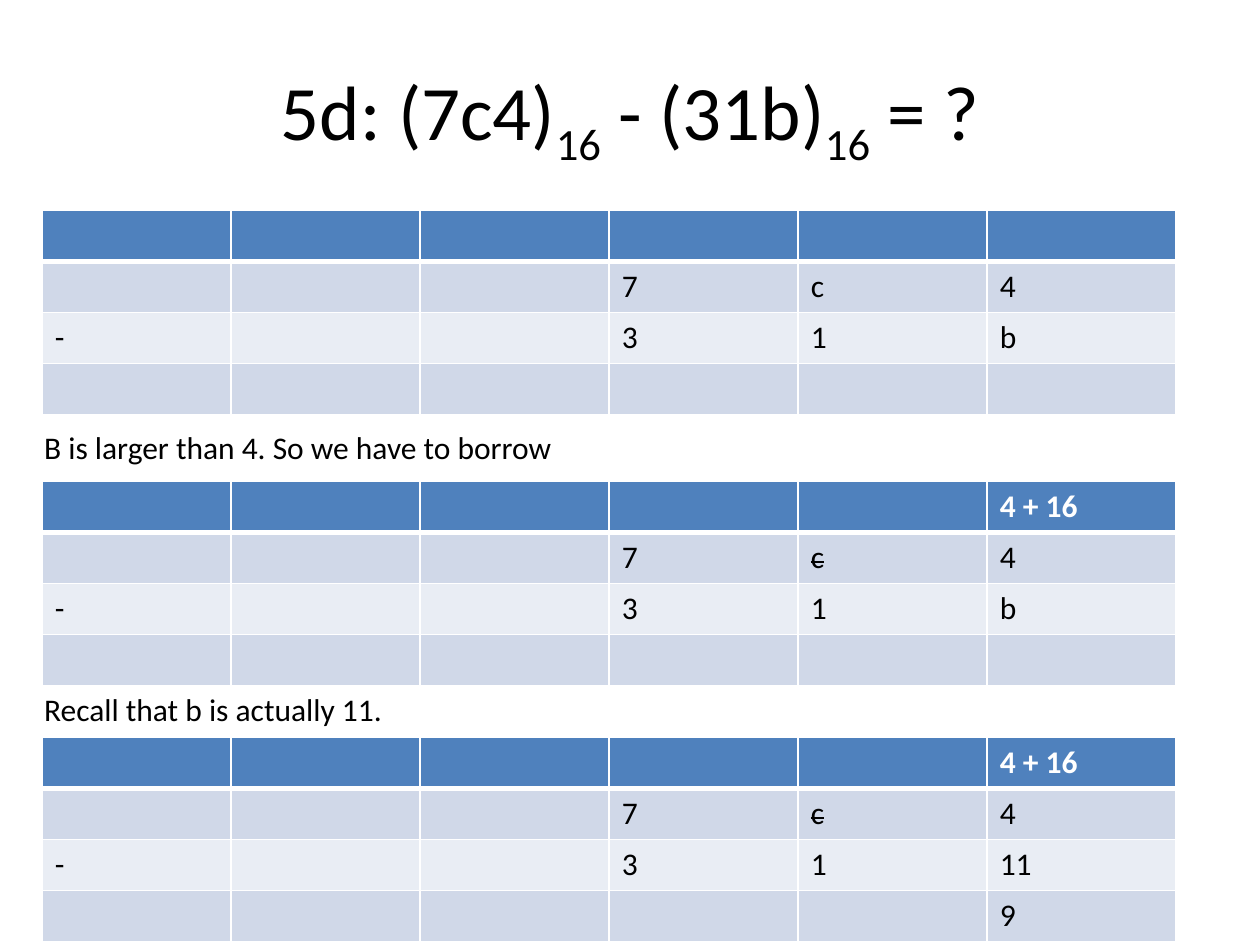
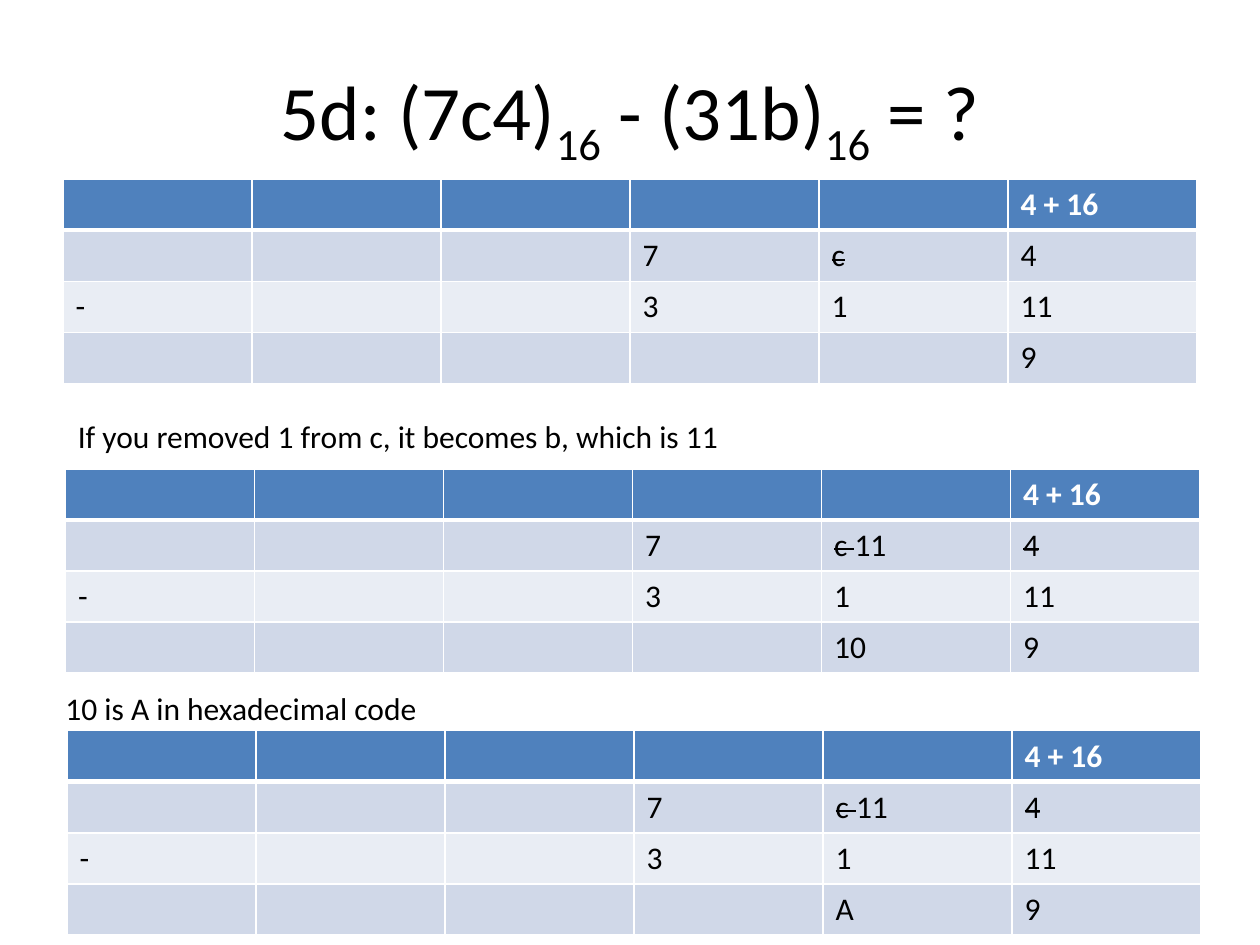
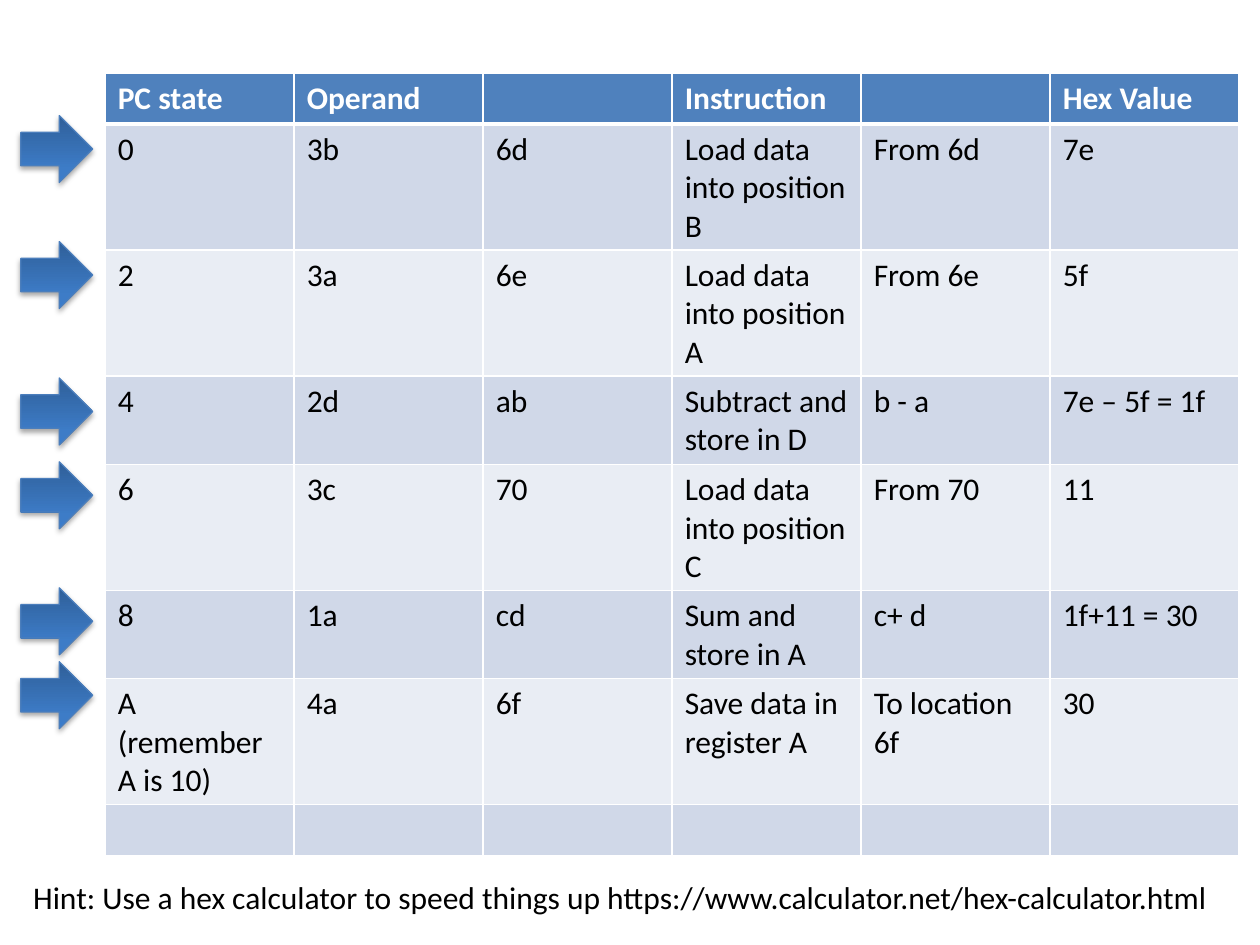
from copy import deepcopy
from dataclasses import dataclass

from pptx import Presentation
from pptx import util as u
from pptx.dml.color import RGBColor
from pptx.enum import shapes, text
from pptx.oxml import parse_xml
from pptx.oxml.ns import nsdecls, qn

Cm, Pt = u.Cm, u.Pt


@dataclass(frozen=True)
class Theme:
    font: str = "Calibri"
    ink: str = "000000"
    paper: str = "FFFFFF"
    head: str = "4F81BD"
    bands: tuple = ("D0D8E8", "E9EDF4")
    edge: str = "4B7EBC"
    fade: tuple = ((0, "2F5F99"), (0.8, "3D7CC7"), (1, "3A7CCB"))
    title: int = 44
    body: int = 18


THEME = Theme()
SUB = ("baseline", "-25000")
STRIKE = ("strike", "sngStrike")
COLS, COL, ROW = 6, 3.81, 1.03


def write(frame, words, size=THEME.body, color=THEME.ink, bold=False,
          align=text.PP_ALIGN.LEFT, mark=STRIKE):
    """Fill a frame; the parts between bars take the mark."""
    para = frame.paragraphs[0]
    para.alignment = align
    for i, part in enumerate(words.split("|")):
        if not part:
            continue
        run = para.add_run()
        run.text = part
        font = run.font
        font.name, font.size, font.bold = THEME.font, Pt(size), bold
        font.color.rgb = RGBColor.from_string(color)
        if i % 2:
            run._r.get_or_add_rPr().set(*mark)


class Deck:
    def __init__(self, theme):
        self.theme = theme
        self.file = Presentation()
        self.file.slide_width, self.file.slide_height = Cm(25.4), Cm(19.05)
        self.page = None

    def slide(self):
        self.page = self.file.slides.add_slide(self.file.slide_layouts[6])

    def title(self, words):
        box = self.page.shapes.add_textbox(Cm(1.27), Cm(0.76), Cm(22.86), Cm(3.18))
        frame = box.text_frame
        frame.word_wrap = True
        frame.vertical_anchor = text.MSO_ANCHOR.MIDDLE
        write(frame, words, size=self.theme.title,
              align=text.PP_ALIGN.CENTER, mark=SUB)

    def label(self, words, x, y, w):
        box = self.page.shapes.add_textbox(Cm(x), Cm(y), Cm(w), Cm(1.03))
        frame = box.text_frame
        frame.word_wrap = False
        frame.auto_size = text.MSO_AUTO_SIZE.SHAPE_TO_FIT_TEXT
        write(frame, words)

    def rule(self, cell, row):
        """White cell borders, heavy under the header row."""
        props = cell._tc.get_or_add_tcPr()
        heavy = {(0, "B"), (1, "T")}
        for side in "LRTB":
            width = Pt(3 if (row, side) in heavy else 1)
            props.append(parse_xml(
                f'<a:ln{side} {nsdecls("a")} w="{width}"><a:solidFill>'
                f'<a:srgbClr val="{self.theme.paper}"/></a:solidFill></a:ln{side}>'))

    def table(self, lines, x, y):
        """Each line holds cells split by commas; short lines fill from the right."""
        style = self.theme
        grid = self.page.shapes.add_table(
            len(lines), COLS, Cm(x), Cm(y), Cm(COLS * COL), Cm(len(lines) * ROW)).table
        for r, line in enumerate(lines):
            grid.rows[r].height = Cm(ROW)
            fill = style.bands[(r - 1) % 2] if r else style.head
            color = style.ink if r else style.paper
            words = line.split(",")
            words = [""] * (COLS - len(words)) + words
            for c, word in enumerate(words):
                cell = grid.cell(r, c)
                self.rule(cell, r)
                cell.fill.solid()
                cell.fill.fore_color.rgb = RGBColor.from_string(fill)
                write(cell.text_frame, word, color=color, bold=r == 0)

    def arrow(self, x, y):
        item = self.page.shapes.add_shape(
            shapes.MSO_SHAPE.LEFT_ARROW, Cm(x), Cm(y), Cm(1.45), Cm(1.35))
        item.rotation = 180
        # Three-stop gradient
        item.fill.gradient()
        item.fill.gradient_angle = 90
        props = item._element.spPr
        stops = props.find(".//" + qn("a:gsLst"))
        stops.append(deepcopy(stops[-1]))
        for stop, (place, color) in zip(item.fill.gradient_stops, self.theme.fade):
            stop.position = place
            stop.color.rgb = RGBColor.from_string(color)
        item.line.width = Pt(0.75)
        item.line.color.rgb = RGBColor.from_string(self.theme.edge)
        # Soft shadow below
        item.shadow.inherit = False
        props.find(qn("a:effectLst")).append(parse_xml(
            f'<a:outerShdw {nsdecls("a")} blurRad="{Pt(3.1)}" dist="{Pt(1.8)}" '
            f'dir="5400000" rotWithShape="0"><a:srgbClr val="{self.theme.ink}">'
            '<a:alpha val="35000"/></a:srgbClr></a:outerShdw>'))


def sums(top, low, result="", carry="4 + 16"):
    return [carry, top, "-,,," + low, result]


def main():
    deck = Deck(THEME)
    task = "5d: (7c4)|16| - (31b)|16| = ?"
    ones = sums("7,|c|,4", "3,1,11", "9")

    # Borrow for the last digit
    deck.slide()
    deck.title(task)
    deck.table(sums("7,c,4", "3,1,b", carry=""), 0.85, 4.24)
    deck.label("B is larger than 4. So we have to borrow", 0.64, 8.51, 10.87)
    deck.table(sums("7,|c|,4", "3,1,b"), 0.85, 9.7)
    deck.label("Recall that b is actually 11.", 0.64, 13.79, 7.42)
    deck.table(ones, 0.85, 14.86)

    # Subtract the middle digit
    deck.slide()
    deck.title(task)
    deck.table(ones, 1.27, 3.61)
    deck.label("If you removed 1 from c, it becomes b, which is 11", 1.32, 8.28, 13.59)
    for result, x, y in (("10,9", 1.32, 9.45), ("A,9", 1.35, 14.73)):
        deck.table(sums("7,|c |11,|4|", "3,1,11", result), x, y)
    deck.label("10 is A in hexadecimal code", 1.07, 13.77, 7.67)

    # Program trace
    deck.slide()
    deck.table([
        "PC state,Operand,,Instruction,,Hex Value",
        "0,3b,6d,Load data into position B,From 6d,7e",
        "2,3a,6e,Load data into position A,From 6e,5f",
        "4,2d,ab,Subtract and store in D,b - a,7e – 5f = 1f",
        "6,3c,70,Load data into position C,From 70,11",
        "8,1a,cd,Sum and store in A,c+ d,1f+11 = 30",
        "A (remember A is 10),4a,6f,Save data in register A,To location 6f,30",
        "",
    ], 2.12, 1.47)
    for y in (2.33, 4.87, 7.62, 9.31, 11.85, 13.34):
        deck.arrow(0.42, y)
    deck.label("Hint: Use a hex calculator to speed things up "
               "https://www.calculator.net/hex-calculator.html", 0.42, 17.57, 24.71)

    deck.file.save("out.pptx")


if __name__ == "__main__":
    main()
